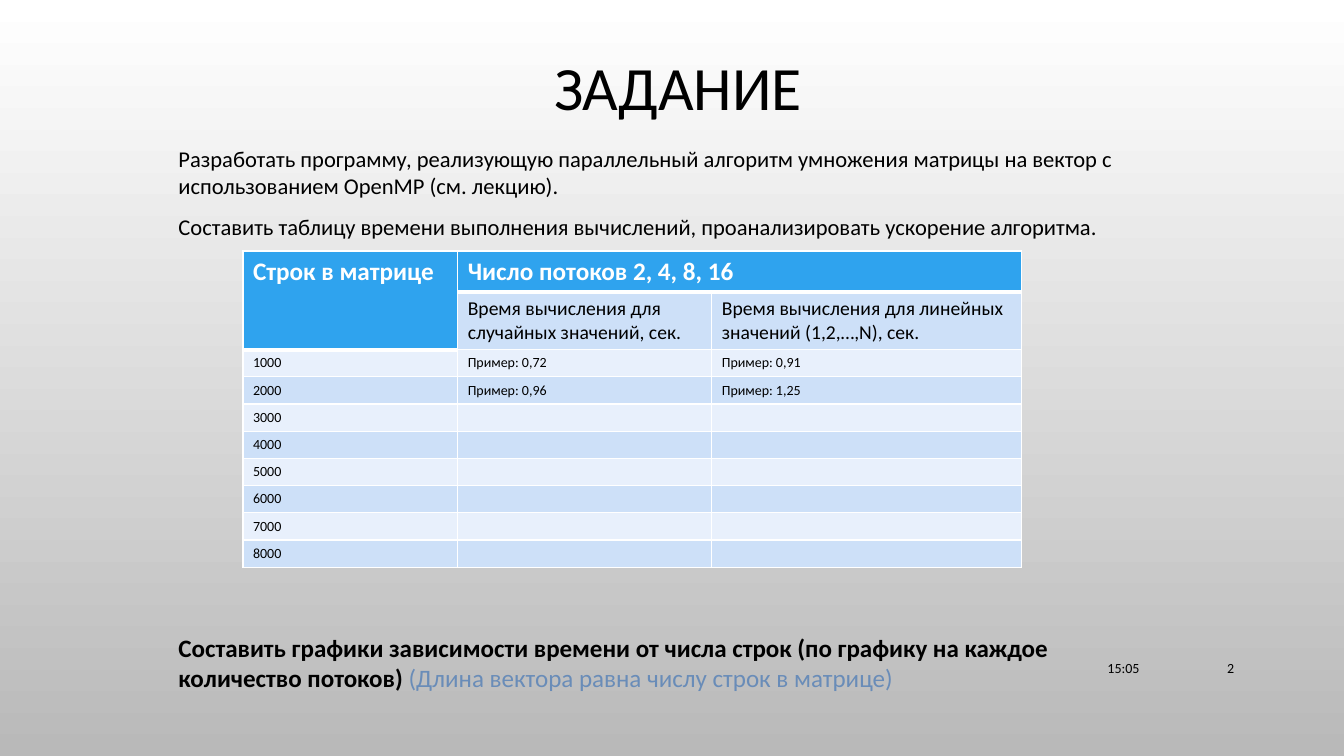
from lxml import etree
from pptx import Presentation
from pptx import util as u
from pptx.dml.color import RGBColor
from pptx.enum import text
from pptx.oxml import ns

BLACK = RGBColor(0x00, 0x00, 0x00)
WHITE = RGBColor(0xFF, 0xFF, 0xFF)
GREY = RGBColor(0xB9, 0xB9, 0xB9)
HEADER = RGBColor(0x2F, 0xA3, 0xEE)
BAND_DARK = RGBColor(0xCD, 0xE0, 0xF8)
BAND_LIGHT = RGBColor(0xE8, 0xF0, 0xFC)
NOTE = RGBColor(0x69, 0x8C, 0xB8)
FONT = "Calibri"
WIDTH, HEIGHT = 13.33, 7.5
INDENT = 0.12

# Boxes: left, top, width, height in inches
TITLE_BOX = (1, 0.41, 11.33, 0.97)
BODY_BOX = (1.55, 1.39, 10.16, 5.61)
TABLE_BOX = (2.41, 2.49, 7.72, 3.13)
TIME_BOX = (8.4, 6.43, 3, 0.4)
NUMBER_BOX = (11.5, 6.43, 0.84, 0.4)

COLUMN_WIDTHS = (2.13, 2.52, 3.07)
HEADER_HEIGHTS = (0.4, 0.57)
ROW_HEIGHT = 0.27
EXAMPLES = {1000: ("Пример: 0,72", "Пример: 0,91"),
            2000: ("Пример: 0,96", "Пример: 1,25")}
TABLE_ROWS = [
    ("Строк в матрице", "Число потоков 2, 4, 8, 16", ""),
    ("", "Время вычисления для случайных значений, сек.",
     "Время вычисления для линейных значений (1,2,…,N), сек."),
] + [(str(count), *EXAMPLES.get(count, ("", "")))
     for count in range(1000, 9000, 1000)]

# Paragraphs: space before in points, then runs of wording, size, colour, bold
TASKS = [
    (10, [("Разработать программу, реализующую параллельный алгоритм умножения "
           "матрицы на вектор с использованием OpenMP (см. лекцию).",
           16.1, BLACK, False)]),
    (10, [("Составить таблицу времени выполнения вычислений, проанализировать "
           "ускорение алгоритма.", 16.1, BLACK, False)]),
    (280, [("Составить графики зависимости времени от числа строк (по графику "
            "на каждое количество потоков) ", 17.9, BLACK, True),
           ("(Длина вектора равна числу строк в матрице)", 17.9, NOTE, False)]),
]


def apply(target, values):
    for name, value in values.items():
        setattr(target, name, value)


def place(shape, box):
    names = ("left", "top", "width", "height")
    apply(shape, dict(zip(names, map(u.Inches, box))))


def add_span(para, wording, size, color=BLACK, bold=False):
    span = para.add_run()
    span.text = wording
    apply(span.font, {"name": FONT, "size": u.Pt(size), "bold": bold})
    span.font.color.rgb = color


def paint_background(page):
    fill = page.background.fill
    fill.gradient()
    fill.gradient_angle = 270
    for stop, position, color in zip(fill.gradient_stops, (0, 1), (WHITE, GREY)):
        stop.position = position
        stop.color.rgb = color


def fill_title(page, box):
    title = page.shapes.title
    place(title, box)
    frame = title.text_frame
    apply(frame, {"vertical_anchor": text.MSO_ANCHOR.MIDDLE, "word_wrap": True,
                  "auto_size": text.MSO_AUTO_SIZE.NONE})
    para = frame.paragraphs[0]
    apply(para, {"alignment": text.PP_ALIGN.CENTER, "line_spacing": 0.9})
    para._p.get_or_add_pPr().set("marL", str(u.Inches(INDENT)))
    add_span(para, "ЗАДАНИЕ", 44)


def fill_body(page, box):
    body = page.placeholders[1]
    place(body, box)
    frame = body.text_frame
    apply(frame, {"vertical_anchor": text.MSO_ANCHOR.TOP, "word_wrap": True,
                  "auto_size": text.MSO_AUTO_SIZE.NONE})
    for index, (gap, spans) in enumerate(TASKS):
        para = frame.add_paragraph() if index else frame.paragraphs[0]
        apply(para, {"space_before": u.Pt(gap), "space_after": u.Pt(0)})
        props = para._p.get_or_add_pPr()
        props.set("marL", str(u.Inches(INDENT)))
        props.set("indent", "0")
        etree.SubElement(props, ns.qn("a:buNone"))
        for span in spans:
            add_span(para, *span)


def add_borders(cell, top, bottom):
    props = cell._tc.get_or_add_tcPr()
    for side, points in (("L", 1), ("R", 1), ("T", top), ("B", bottom)):
        line = etree.SubElement(props, ns.qn(f"a:ln{side}"), w=str(u.Pt(points)))
        solid = etree.SubElement(line, ns.qn("a:solidFill"))
        etree.SubElement(solid, ns.qn("a:srgbClr"), val=str(WHITE))


def format_cell(cell, row, column, wording):
    # The row-count heading spans both header rows, the thread heading only one
    last_header = 0 if column else 1
    is_header = row <= last_header
    size = 18 if is_header else 14 if row == 1 else 10
    add_borders(cell, 3 if row == last_header + 1 else 1,
                3 if row == last_header else 1)
    cell.fill.solid()
    cell.fill.fore_color.rgb = (HEADER if is_header
                                else BAND_DARK if row % 2 else BAND_LIGHT)
    para = cell.text_frame.paragraphs[0]
    if wording:
        add_span(para, wording, size, WHITE if is_header else BLACK, is_header)
    else:
        etree.SubElement(para._p, ns.qn("a:endParaRPr"), sz="1000")


def add_timing_table(page, box):
    frame = page.shapes.add_table(len(TABLE_ROWS), len(COLUMN_WIDTHS),
                                  *map(u.Inches, box))
    table = frame.table
    for column, width in zip(table.columns, COLUMN_WIDTHS):
        column.width = u.Inches(width)
    for index, row in enumerate(table.rows):
        height = HEADER_HEIGHTS[index] if index < 2 else ROW_HEIGHT
        row.height = u.Inches(height)
    for row, values in enumerate(TABLE_ROWS):
        for column, wording in enumerate(values):
            format_cell(table.cell(row, column), row, column, wording)
    table.cell(0, 0).merge(table.cell(1, 0))
    table.cell(0, 1).merge(table.cell(0, 2))


def add_footer(page, box, wording):
    frame = page.shapes.add_textbox(*map(u.Inches, box)).text_frame
    apply(frame, {"word_wrap": True, "vertical_anchor": text.MSO_ANCHOR.MIDDLE})
    para = frame.paragraphs[0]
    para.alignment = text.PP_ALIGN.RIGHT
    add_span(para, wording, 10)


def main():
    deck = Presentation()
    apply(deck, {"slide_width": u.Inches(WIDTH), "slide_height": u.Inches(HEIGHT)})
    page = deck.slides.add_slide(deck.slide_layouts[1])
    paint_background(page)
    fill_title(page, TITLE_BOX)
    fill_body(page, BODY_BOX)
    add_timing_table(page, TABLE_BOX)
    add_footer(page, TIME_BOX, "15:05")
    add_footer(page, NUMBER_BOX, "2")
    deck.save("out.pptx")


if __name__ == "__main__":
    main()
